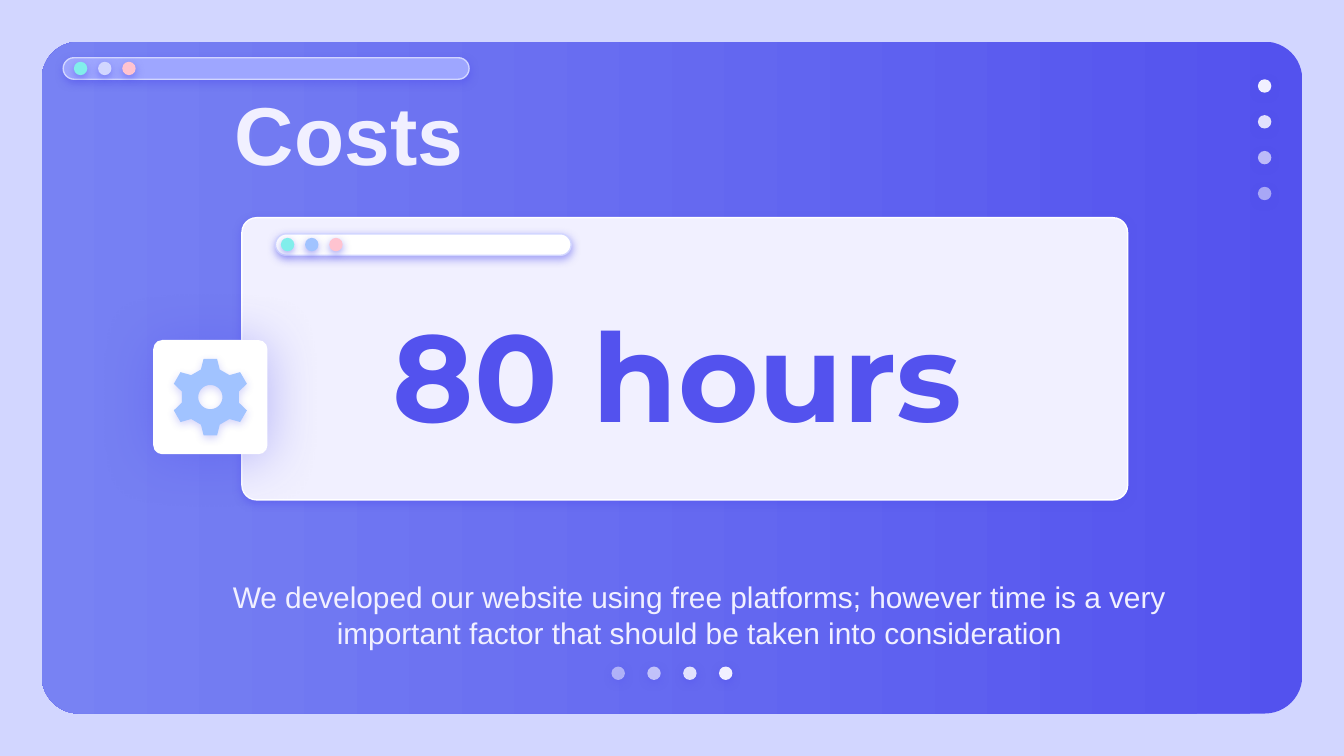
from collections import namedtuple
from math import cos, pi, radians, sin

from lxml.etree import SubElement
from pptx import Presentation
from pptx.dml.color import RGBColor
from pptx.enum.shapes import MSO_SHAPE as SHAPE
from pptx.enum.text import MSO_ANCHOR as ANCHOR
from pptx.enum.text import MSO_AUTO_SIZE as FIT
from pptx.enum.text import PP_ALIGN as ALIGN
from pptx.oxml.ns import qn
from pptx.util import Inches, Pt

Box = namedtuple("Box", "x y w h")
Theme = namedtuple(
    "Theme",
    "lilac pale white indigo violet bar aqua sky pink heading_font body_font hero title body",
)
THEME = Theme(
    "D2D6FF", "F1F0FF", "FFFFFF", "5352EE", "7882F3", "9EA6FF", "81EEEB",
    "A1C3FF", "FFC3D0", "Montserrat", "Arial", 66, 44, 16,
)
DOT = 0.1


def rgb(value):
    """Turn a hex string into a colour."""
    return RGBColor.from_string(value)


def set_alpha(color, percent):
    """Add an opacity to a colour element."""
    SubElement(color, qn("a:alpha"), val=str(percent * 1000))


def style(sp, fill, line=None, alpha=100, shadow=50, blur=4.5):
    """Set the fill, outline and soft drop shadow of a shape."""
    sp.shadow.inherit = False
    sp.fill.solid()
    sp.fill.fore_color.rgb = rgb(fill)
    if alpha < 100:
        set_alpha(sp._element.spPr.find(".//" + qn("a:srgbClr")), alpha)
    if line:
        sp.line.color.rgb = rgb(line)
        sp.line.width = Pt(0.75)
    else:
        sp.line.fill.background()
    effects = sp._element.spPr.find(qn("a:effectLst"))
    outer = SubElement(
        effects, qn("a:outerShdw"), blurRad=str(Pt(blur)), dist=str(Pt(1.5)),
        dir="5400000", algn="bl", rotWithShape="0",
    )
    set_alpha(SubElement(outer, qn("a:srgbClr"), val=THEME.indigo), shadow)


def add_shape(s, kind, box, adj=None):
    """Add a preset shape in a box."""
    sp = s.shapes.add_shape(kind, *map(Inches, box))
    if adj is not None:
        sp.adjustments[0] = adj
    return sp


def add_dots(s, x, y, dx, dy, looks):
    """Add evenly spaced dots, one for each pair of colour and opacity."""
    for i, (fill, alpha) in enumerate(looks):
        sp = add_shape(s, SHAPE.OVAL, Box(x + i * dx, y + i * dy, DOT, DOT))
        style(sp, fill, alpha=alpha)


def add_text(s, box, text, font, align=ALIGN.LEFT, **frame):
    """Add a line of text in a box with the given font and frame values."""
    tf = s.shapes.add_textbox(*map(Inches, box)).text_frame
    for name, value in {"word_wrap": True, **frame}.items():
        setattr(tf, name, value)
    p = tf.paragraphs[0]
    p.alignment = align
    r = p.add_run()
    r.text = text
    for name, value in font.items():
        if name == "color":
            r.font.color.rgb = rgb(value)
        else:
            setattr(r.font, name, value)


def window_bar(s, box, fill, inset, middle):
    """Draw a rounded address bar with three window buttons."""
    style(add_shape(s, SHAPE.ROUNDED_RECTANGLE, box, 0.5), fill, THEME.lilac)
    buttons = [(c, 100) for c in (THEME.aqua, middle, THEME.pink)]
    add_dots(s, box.x + inset, box.y + 0.03, 0.18, 0, buttons)


def backdrop(s, box):
    """Draw the gradient panel, its window bar and both rows of dots."""
    panel = add_shape(s, SHAPE.ROUNDED_RECTANGLE, box, 0.056)
    panel.shadow.inherit = False
    panel.line.fill.background()
    panel.fill.gradient()
    panel.fill.gradient_angle = 180
    stops = panel.fill.gradient_stops
    for stop, place, color in zip(stops, (0, 1), (THEME.indigo, THEME.violet)):
        stop.position = place
        stop.color.rgb = rgb(color)
    fading = [(THEME.pale, alpha) for alpha in (100, 90, 67, 54)]
    step = 0.8 / 3
    add_dots(s, box.x + 9.05, box.y + 0.28, 0, step, fading)
    window_bar(s, Box(box.x + 0.16, box.y + 0.12, 3.02, 0.16), THEME.bar, 0.08, THEME.lilac)
    add_dots(s, box.x + 4.24, box.y + 4.65, step, 0, fading[::-1])


def hours_card(s, box):
    """Draw the card with the number of hours."""
    card = add_shape(s, SHAPE.ROUNDED_RECTANGLE, box, 0.052)
    style(card, THEME.pale, THEME.white)
    window_bar(s, Box(box.x + 0.25, box.y + 0.12, 2.2, 0.16), THEME.white, 0.04, THEME.sky)
    font = {"name": THEME.heading_font, "size": Pt(THEME.hero), "bold": True, "color": THEME.indigo}
    add_text(
        s, Box(box.x + 0.17, box.y + 0.57, 6.14, 1.17), "80 hours", font,
        ALIGN.CENTER, vertical_anchor=ANCHOR.MIDDLE,
    )


def gear_tile(s, box):
    """Draw a white tile with a six-toothed gear in its centre."""
    tile = add_shape(s, SHAPE.ROUNDED_RECTANGLE, box, 0.08)
    style(tile, THEME.white, shadow=38, blur=29.2)
    cx, cy = box.x + box.w / 2, box.y + box.h / 2
    tooth = [(-0.07, -0.205), (-0.05, -0.285), (0.05, -0.285), (0.07, -0.205)]
    rim = []
    for turn in range(0, 360, 60):
        c, n = cos(radians(turn)), sin(radians(turn))
        rim += [(x * c - y * n, x * n + y * c) for x, y in tooth]
    hole = [(0.09 * cos(i * pi / 24), 0.09 * sin(i * pi / 24)) for i in range(48)]
    rim, hole = (
        [(Inches(cx + x), Inches(cy + y)) for x, y in ring] for ring in (rim, hole)
    )
    builder = s.shapes.build_freeform(*rim[0])
    builder.add_line_segments(rim[1:], close=True)
    builder.move_to(*hole[0])
    builder.add_line_segments(hole[1:], close=True)
    style(builder.convert_to_shape(), THEME.sky, shadow=23)


def captions(s, box):
    """Write the slide title and the note below the card."""
    font = {"name": THEME.body_font, "color": THEME.pale}
    add_text(
        s, Box(box.x + 0.91, box.y + 3.95, 7.97, 0.64),
        "We developed our website using free platforms; however time is a very "
        "important factor that should be taken into consideration",
        {**font, "size": Pt(THEME.body)}, ALIGN.CENTER, auto_size=FIT.SHAPE_TO_FIT_TEXT,
    )
    add_text(
        s, Box(box.x + 1.34, box.y + 0.26, 2.92, 0.84), "Costs",
        {**font, "size": Pt(THEME.title), "bold": True}, auto_size=FIT.SHAPE_TO_FIT_TEXT,
    )


def main():
    """Build and save the costs slide."""
    prs = Presentation()
    prs.slide_width = Inches(10)
    prs.slide_height = Inches(10) * 9 // 16
    s = prs.slides.add_slide(prs.slide_layouts[6])
    s.background.fill.solid()
    s.background.fill.fore_color.rgb = rgb(THEME.lilac)
    panel = Box(0.31, 0.31, 9.38, 5)
    backdrop(s, panel)
    hours_card(s, Box(1.8, 1.62, 6.59, 2.1))
    gear_tile(s, Box(1.14, 2.53, 0.85, 0.85))
    captions(s, panel)
    prs.save("out.pptx")


if __name__ == "__main__":
    main()
